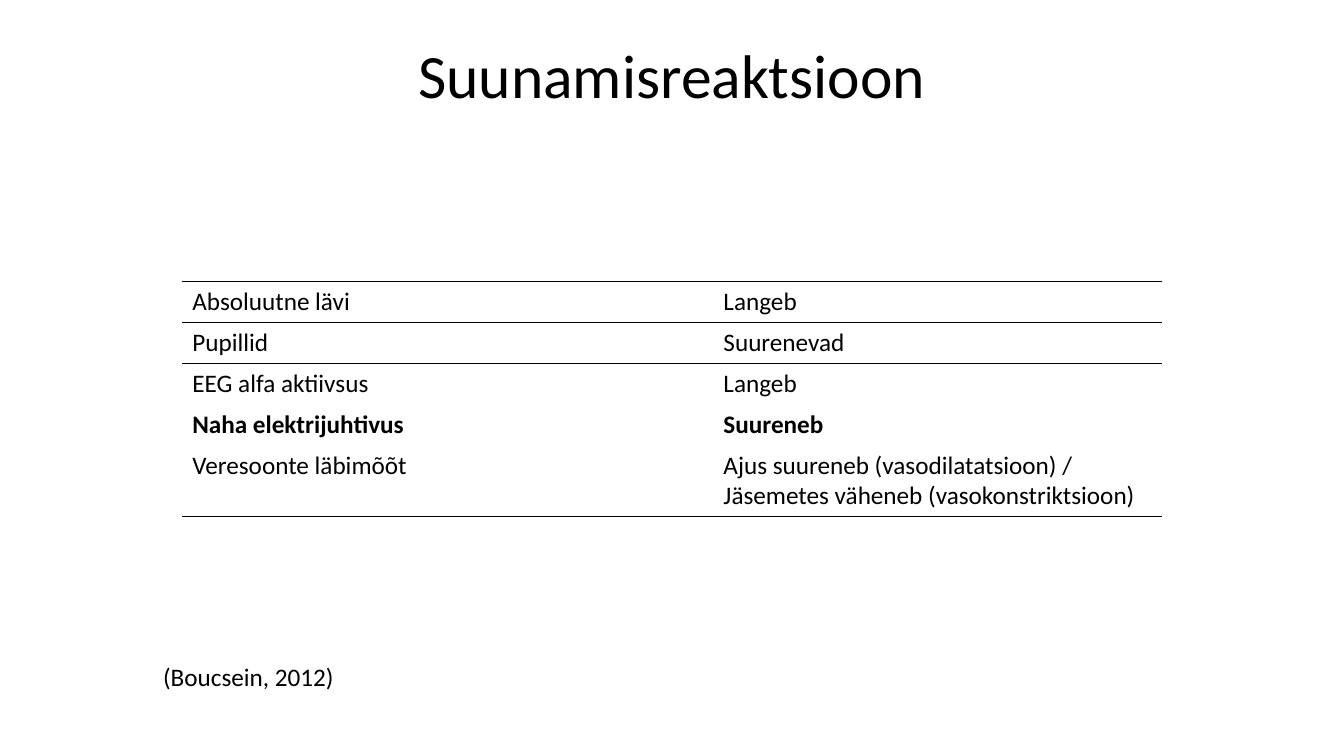
from lxml.etree import SubElement
from pptx import Presentation
from pptx.dml.color import RGBColor
from pptx.enum.text import MSO_ANCHOR as Anchor, PP_ALIGN as Align
from pptx.oxml.ns import qn
from pptx.util import Pt

BLACK = "000000"
PLAIN_TABLE = "{2D5ABB26-0587-4C30-8999-92F81FD0307C}"


def color(value):
    return RGBColor.from_string(value)


def write(frame, text, size=18, bold=False, align=Align.LEFT, spacing=1.0, font="Calibri"):
    for index, line in enumerate(text.split("\n")):
        paragraph = frame.add_paragraph() if index else frame.paragraphs[0]
        paragraph.alignment = align
        paragraph.line_spacing = spacing
        paragraph.font.size = Pt(size)
        if not line:
            continue
        run = paragraph.add_run()
        run.text = line
        run.font.name = font
        run.font.size = Pt(size)
        run.font.bold = bold
        run.font.color.rgb = color(BLACK)


class SlideBuilder:
    def __init__(self, slide, line_width=1):
        self.slide = slide
        self.line_width = line_width

    def text(self, left, top, width, height, text, wrap=True, **style):
        box = self.slide.shapes.add_textbox(Pt(left), Pt(top), Pt(width), Pt(height))
        box.text_frame.word_wrap = wrap
        box.text_frame.vertical_anchor = Anchor.TOP
        write(box.text_frame, text, **style)

    def border(self, cell, side):
        line = SubElement(cell._tc.get_or_add_tcPr(), qn(f"a:ln{side}"), w=str(Pt(self.line_width)))
        fill = SubElement(line, qn("a:solidFill"))
        SubElement(fill, qn("a:srgbClr"), val=BLACK)

    def table(self, left, top, widths, heights, rows, ruled_edges, bold_row):
        frame = self.slide.shapes.add_table(
            len(rows), len(widths), Pt(left), Pt(top), Pt(sum(widths)), Pt(sum(heights)))
        table = frame.table
        table.first_row = False
        table.horz_banding = False
        table._tbl.tblPr.find(qn("a:tableStyleId")).text = PLAIN_TABLE
        for column, width in zip(table.columns, widths):
            column.width = Pt(width)
        for row_index, (values, height) in enumerate(zip(rows, heights)):
            table.rows[row_index].height = Pt(height)
            for column_index, value in enumerate(values):
                cell = table.cell(row_index, column_index)
                for side, edge in (("T", row_index), ("B", row_index + 1)):
                    if edge in ruled_edges:
                        self.border(cell, side)
                cell.fill.background()
                write(cell.text_frame, value, bold=row_index == bold_row)


def main():
    presentation = Presentation()
    presentation.slide_width = Pt(960)
    presentation.slide_height = Pt(540)
    slide = presentation.slides.add_slide(presentation.slide_layouts[6])
    slide.background.fill.solid()
    slide.background.fill.fore_color.rgb = color("FFFFFF")
    builder = SlideBuilder(slide)

    builder.text(66, 28.75, 828, 104.4, "Suunamisreaktsioon",
                 size=44, align=Align.CENTER, spacing=0.9)
    reactions = [
        ("", ""),
        ("Absoluutne lävi", "Langeb"),
        ("Pupillid", "Suurenevad"),
        ("EEG alfa aktiivsus", "Langeb"),
        ("Naha elektrijuhtivus", "Suureneb"),
        ("Veresoonte läbimõõt",
         "Ajus suureneb (vasodilatatsioon) /\nJäsemetes väheneb (vasokonstriktsioon)"),
    ]
    builder.table(130.2, 172, [379.4, 320.4], [29.2] * 5 + [51.2], reactions,
                  ruled_edges={1, 2, 6}, bold_row=4)
    builder.text(109.4, 468.7, 137.5, 29.1, "(Boucsein, 2012)", wrap=False)

    presentation.save("out.pptx")


if __name__ == "__main__":
    main()
